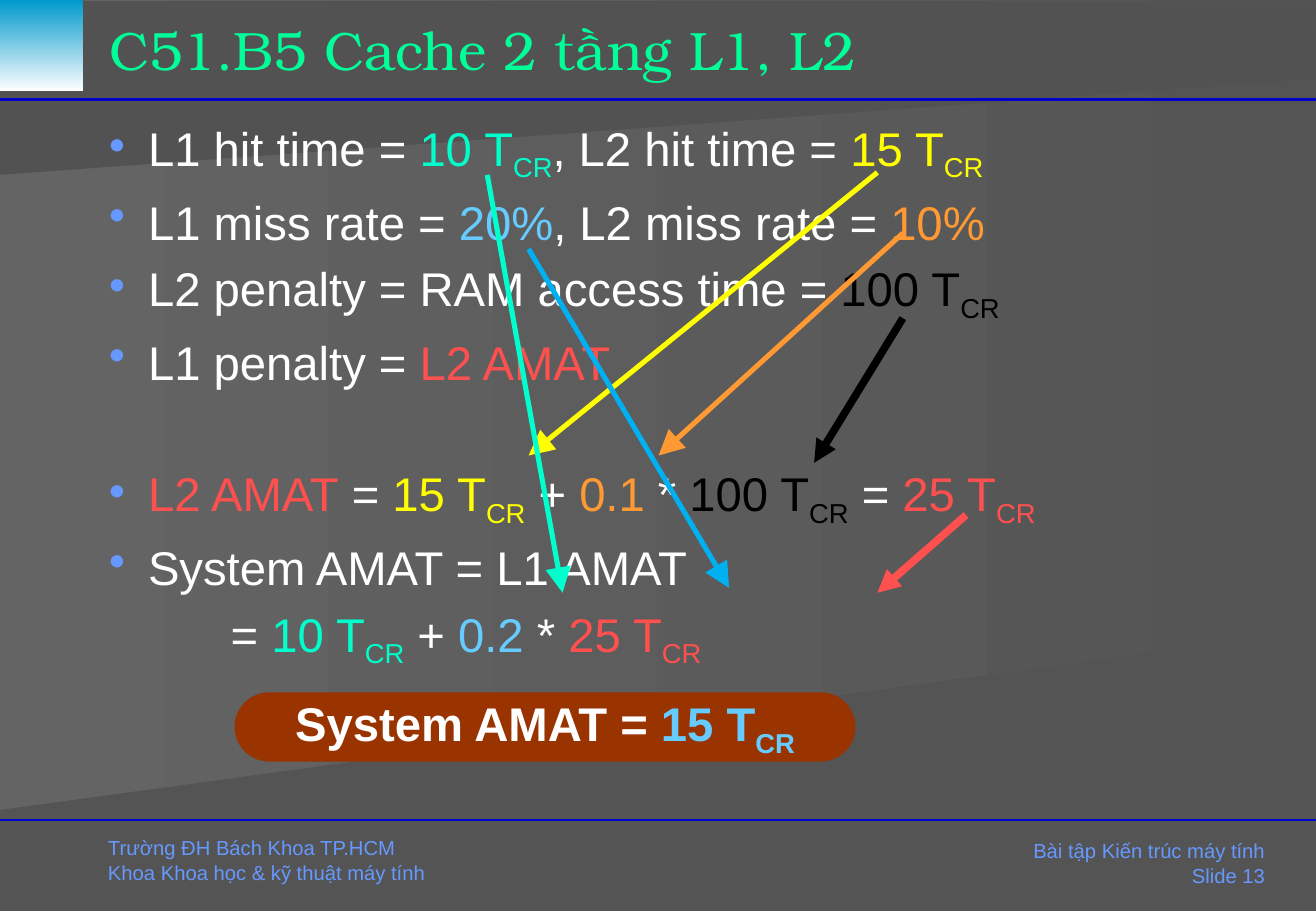
from lxml import etree
from pptx import Presentation
from pptx.dml.color import RGBColor
from pptx.enum.shapes import MSO_CONNECTOR as CONNECTOR, MSO_SHAPE as SHAPE
from pptx.enum.text import MSO_ANCHOR as ANCHOR, PP_ALIGN as ALIGN
from pptx.oxml.ns import qn
from pptx.util import Emu, Pt

PX = 9144  # 100 px to the inch
WIDTH, HEIGHT = 1083, 750
COLORS = {
    "slide": "545454", "beam": "646464", "band": "525252",
    "rule": "0000CC", "corner": "0099CC",
    "title": "00FF99", "footer": "6699FF", "pill": "993300",
    "white": "FFFFFF", "black": "000000", "teal": "00FFCC",
    "yellow": "FFFF00", "sky": "66CCFF", "blue": "00B0F0",
    "orange": "FF9933", "red": "FF5050",
}
# Text after "_" is subscript; each line is (style, space before, runs).
FORMULAS = [
    ("bullet", 0, [("L1 hit time = ", "white"), ("10 T_CR", "teal"),
                   (", L2 hit time = ", "white"), ("15 T_CR", "yellow")]),
    ("bullet", 5.6, [("L1 miss rate = ", "white"), ("20%", "sky"),
                     (", L2 miss rate = ", "white"), ("10%", "orange")]),
    ("bullet", 5.6, [("L2 penalty = RAM access time = ", "white"),
                     ("100 T_CR", "black")]),
    ("bullet", 5.6, [("L1 penalty = ", "white"), ("L2 AMAT", "red")]),
    ("bullet", 44.4, [("L2 AMAT", "red"), (" = ", "white"),
                      ("15 T_CR", "yellow"), (" + ", "white"),
                      ("0.1", "orange"), (" * ", "white"),
                      ("100 T_CR", "black"), (" = ", "white"),
                      ("25 T_CR", "red")]),
    ("bullet", 5.6, [("System AMAT = L1 AMAT", "white")]),
    ("indent", 5.6, [("= ", "white"), ("10 T_CR", "teal"), (" + ", "white"),
                     ("0.2", "sky"), (" * ", "white"), ("25 T_CR", "red")]),
]
RESULT = [("System AMAT = ", "white"), ("15 T_CR", "sky")]
# Start and end are relative to the body box.
ARROWS = [
    ((642, 49), (355, 282), "yellow", 3, "lg"),
    ((663, 99), (462, 282), "orange", 3, "lg"),
    ((663, 169), (590, 288), "black", 4.5, "med"),
    ((321, 51), (383, 395), "teal", 3, "lg"),
    ((355, 112), (520, 391), "blue", 3, "lg"),
    ((715, 331), (642, 395), "red", 4.5, "med"),
]


def rgb(name):
    return RGBColor.from_string(COLORS[name])


def emu(*lengths):
    return [Emu(length * PX) for length in lengths]


def fill_gradient(part, start, end, angle=0):
    part.shadow.inherit = False
    part.line.fill.background()
    part.fill.gradient()
    part.fill.gradient_angle = angle
    for stop, color in zip(part.fill.gradient_stops, (start, end)):
        stop.color.rgb = rgb(color)


def add_label(slide, box, lines, size, color, face="Arial", align=ALIGN.LEFT,
              anchor=ANCHOR.TOP):
    frame = slide.shapes.add_textbox(*emu(*box)).text_frame
    frame.word_wrap = True
    frame.vertical_anchor = anchor
    frame.text = "\n".join(lines)
    for paragraph in frame.paragraphs:
        paragraph.alignment = align
        font = paragraph.font
        font.size, font.name = Pt(size), face
        font.color.rgb = rgb(color)


def add_formula(paragraph, runs, bold=False):
    """Add coloured runs, lowering the text that follows an underscore."""
    font = paragraph.font
    font.size, font.name, font.bold = Pt(28), "Arial", bold
    for text, color in runs:
        base, _, lowered = text.partition("_")
        for piece, offset in ((base, None), (lowered, "-25000")):
            if piece:
                run = paragraph.add_run()
                run.text = piece
                run.font.color.rgb = rgb(color)
                if offset:
                    run.font._element.set("baseline", offset)


def indent(paragraph, style):
    props = paragraph._p.get_or_add_pPr()
    left, first = (32, -32) if style == "bullet" else (100, 0)
    props.set("marL", str(left * PX))
    props.set("indent", str(first * PX))
    if style == "bullet":
        bullet_color = etree.SubElement(props, qn("a:buClr"))
        etree.SubElement(bullet_color, qn("a:srgbClr"), val=COLORS["footer"])
        etree.SubElement(props, qn("a:buChar"), char="•")
    else:
        etree.SubElement(props, qn("a:buNone"))


def add_line(slide, start, end, color, width, head=None):
    line = slide.shapes.add_connector(CONNECTOR.STRAIGHT, *emu(*start, *end))
    line.line.color.rgb = rgb(color)
    line.line.width = Pt(width)
    if head:
        etree.SubElement(line.line._get_or_add_ln(), qn("a:tailEnd"),
                         type="triangle", w=head, len=head)
    etree.SubElement(line._element.spPr, qn("a:effectLst"))


def add_backdrop(slide):
    slide.background.fill.solid()
    slide.background.fill.fore_color.rgb = rgb("slide")
    beams = [
        ([(WIDTH, 518), (-1, 667), (-1, 0), (WIDTH, 0)], "beam"),
        ([(1082, 65), (0, 144), (0, 1), (WIDTH, 1), (1082, 33)], "band"),
    ]
    for points, color in beams:
        builder = slide.shapes.build_freeform(*points[0], scale=PX)
        builder.add_line_segments(points[1:], close=True)
        fill_gradient(builder.convert_to_shape(), color, "slide")
    for y in (675, 82):
        add_line(slide, (0, y), (WIDTH, y), "rule", 1.5)
    corner = slide.shapes.add_shape(SHAPE.RECTANGLE, *emu(-1, 0, 69, 75))
    fill_gradient(corner, "corner", "white", angle=270)


def add_footer(slide, x, y, width):
    add_label(slide, (x, y, 322, 50),
              ["Trường ĐH Bách Khoa TP.HCM",
               "Khoa Khoa học & kỹ thuật máy tính"], 12, "footer")
    add_label(slide, (x + width - 286, y + 3, 286, 49),
              ["Bài tập Kiến trúc máy tính", "Slide 13"], 12, "footer",
              align=ALIGN.RIGHT, anchor=ANCHOR.MIDDLE)


def add_body(slide, x, y, width, height):
    body = slide.shapes.add_textbox(*emu(x, y, width, height)).text_frame
    body.word_wrap = True
    for number, (style, space, runs) in enumerate(FORMULAS):
        line = body.add_paragraph() if number else body.paragraphs[0]
        indent(line, style)
        line.alignment = ALIGN.JUSTIFY
        if space:
            line.space_before = Pt(space)
        add_formula(line, runs)

    pill = slide.shapes.add_shape(SHAPE.ROUNDED_RECTANGLE,
                                  *emu(x + 113, y + 477, 511, 57))
    pill.adjustments[0] = 0.5
    pill.shadow.inherit = False
    pill.fill.solid()
    pill.fill.fore_color.rgb = rgb("pill")
    pill.line.fill.background()
    frame = pill.text_frame
    frame.margin_left = frame.margin_right = 0
    frame.margin_top = frame.margin_bottom = 0
    frame.vertical_anchor = ANCHOR.MIDDLE
    result = frame.paragraphs[0]
    result.alignment = ALIGN.CENTER
    add_formula(result, RESULT, bold=True)

    for start, end, color, weight, head in ARROWS:
        add_line(slide, (x + start[0], y + start[1]),
                 (x + end[0], y + end[1]), color, weight, head)


def main():
    deck = Presentation()
    deck.slide_width, deck.slide_height = emu(WIDTH, HEIGHT)
    slide = deck.slides.add_slide(deck.slide_layouts[6])
    add_backdrop(slide)
    add_label(slide, (80, 9, 971, 63), ["C51.B5 Cache 2 tầng L1, L2"], 32,
              "title", "TeX Gyre Bonum", anchor=ANCHOR.MIDDLE)
    add_body(slide, 80, 93, 971, 569)
    add_footer(slide, 79, 683, 972)
    deck.save("out.pptx")


if __name__ == "__main__":
    main()
